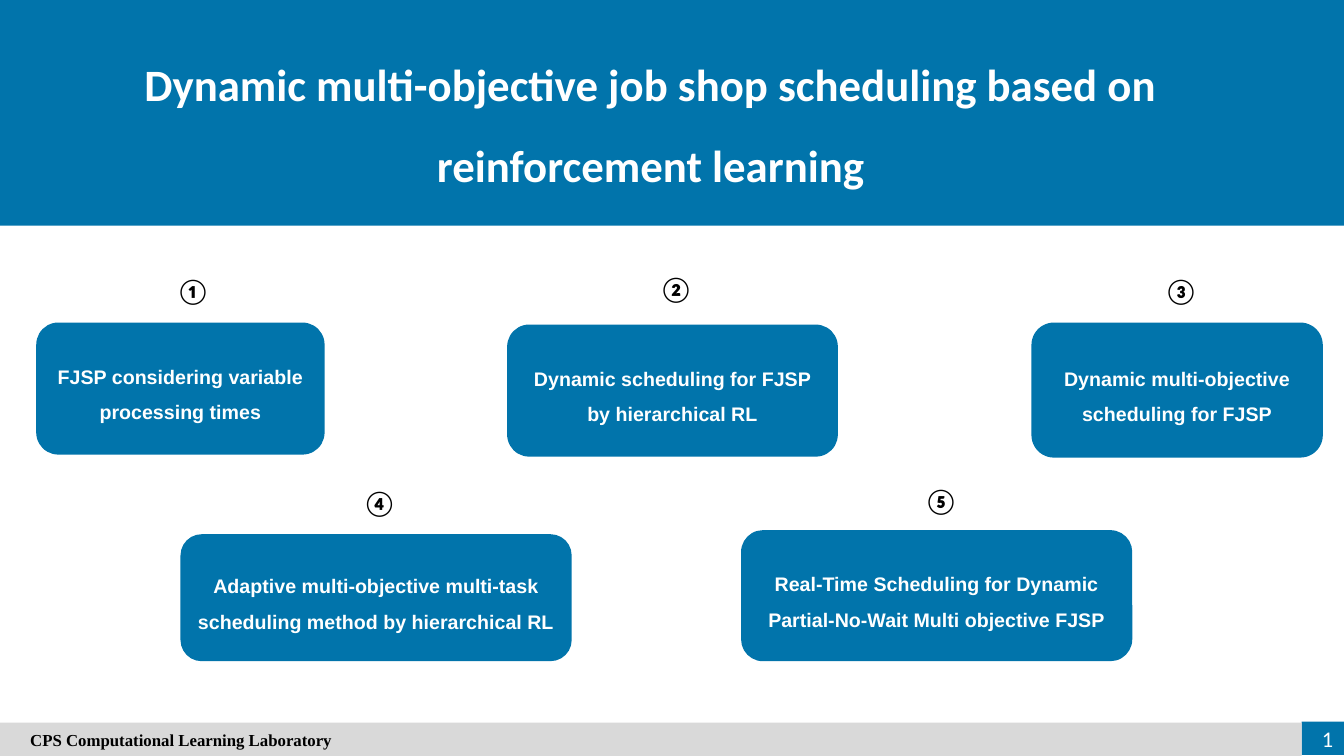
from pptx import Presentation
from pptx.dml.color import RGBColor
from pptx.enum import shapes, text
from pptx.util import Inches, Pt

COLORS = {"blue": "0174AB", "grey": "D9D9D9", "white": "FFFFFF", "black": "000000"}
LEFT, CENTER, RIGHT = text.PP_ALIGN.LEFT, text.PP_ALIGN.CENTER, text.PP_ALIGN.RIGHT
TOP, MIDDLE = text.MSO_ANCHOR.TOP, text.MSO_ANCHOR.MIDDLE
RECT, ROUNDED = shapes.MSO_SHAPE.RECTANGLE, shapes.MSO_SHAPE.ROUNDED_RECTANGLE

deck = Presentation()
deck.slide_width, deck.slide_height = Inches(13.33), Inches(7.5)
slide = deck.slides.add_slide(deck.slide_layouts[6])


def add_block(kind, left, top, width, height, color):
    block = slide.shapes.add_shape(
        kind, Inches(left), Inches(top), Inches(width), Inches(height))
    block.shadow.inherit = False
    block.fill.solid()
    block.fill.fore_color.rgb = RGBColor.from_string(COLORS[color])
    block.line.fill.background()
    return block


def write(holder, words, font, size, color, align=CENTER, anchor=MIDDLE,
          bold=True, spacing=1.0, wrap=True):
    frame = holder.text_frame
    frame.text = words
    frame.word_wrap = wrap
    frame.vertical_anchor = anchor
    paragraph = frame.paragraphs[0]
    paragraph.alignment = align
    paragraph.line_spacing = spacing
    run_font = paragraph.runs[0].font
    run_font.name, run_font.size, run_font.bold = font, Pt(size), bold
    run_font.color.rgb = RGBColor.from_string(COLORS[color])


# Title banner
add_block(RECT, 0, 0, 13.39, 2.24, "blue")
title = slide.shapes.add_textbox(Inches(0.34), Inches(0.25), Inches(12.23), Inches(1.63))
write(title, "Dynamic multi-objective job shop scheduling based on reinforcement learning",
      "Calibri", 32, "white", anchor=TOP, spacing=1.5)

# Footer with laboratory name and page number
add_block(RECT, 12.91, 7.16, 0.42, 0.33, "blue")
laboratory = add_block(RECT, 0, 7.17, 12.91, 0.33, "grey")
write(laboratory, "CPS Computational Learning Laboratory",
      "Times New Roman", 12, "black", align=LEFT)
laboratory.text_frame.margin_left = Inches(0.3)
page_number = slide.shapes.add_textbox(Inches(12.69), Inches(7.13), Inches(0.63), Inches(0.4))
write(page_number, "1", "Calibri", 16, "white", align=RIGHT, bold=False)

# Research topics: mark, mark position, words, box position and size
topics = [
    ("①", (1.65, 2.68), "FJSP considering variable processing times",
     (0.36, 3.2, 2.86, 1.31)),
    ("②", (6.44, 2.66), "Dynamic scheduling for FJSP by hierarchical RL",
     (5.03, 3.22, 3.28, 1.31)),
    ("③", (11.45, 2.68), "Dynamic multi-objective scheduling for FJSP",
     (10.23, 3.2, 2.89, 1.34)),
    ("④", (3.5, 4.79), "Adaptive multi-objective multi-task scheduling method by hierarchical RL",
     (1.79, 5.3, 3.88, 1.26)),
    ("⑤", (9.07, 4.77), "Real-Time Scheduling for Dynamic Partial-No-Wait Multi objective FJSP",
     (7.35, 5.26, 3.88, 1.3)),
]
for mark, (mark_left, mark_top), words, place in topics:
    topic = add_block(ROUNDED, *place, "blue")
    write(topic, words, "Arial", 14, "white", spacing=1.5)
    number = slide.shapes.add_textbox(
        Inches(mark_left), Inches(mark_top), Inches(0.45), Inches(0.4))
    write(number, mark, "Calibri", 18, "black", align=LEFT, anchor=TOP, wrap=False)

deck.save("out.pptx")
